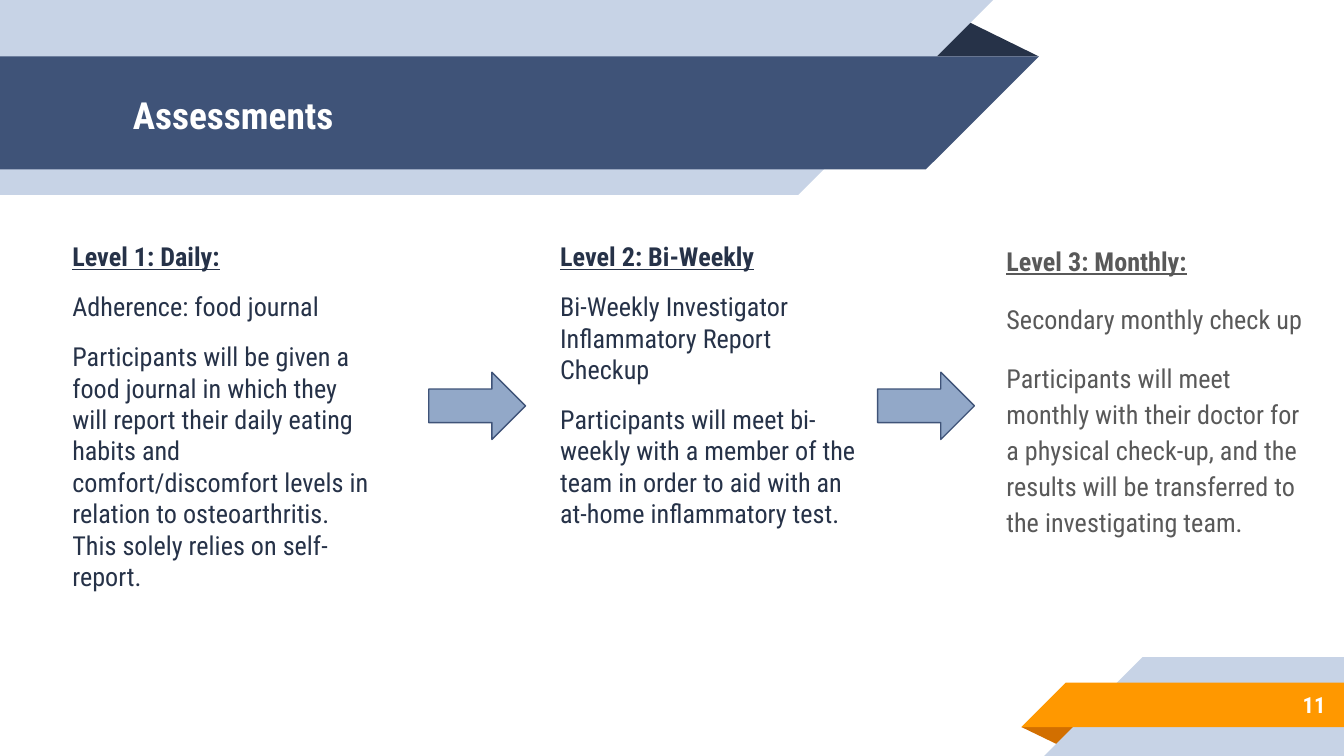
from dataclasses import dataclass

from pptx import Presentation
from pptx.dml.color import RGBColor
from pptx.enum.shapes import MSO_SHAPE
from pptx.enum.text import MSO_ANCHOR, PP_ALIGN
from pptx.util import Inches, Pt

FONT = "Roboto Condensed"
COLORS = {
    "navy": "263248",
    "blue": "3F5378",
    "mid": "92A8C8",
    "pale": "C7D3E6",
    "orange": "FF9800",
    "rust": "D26F00",
    "gray": "595959",
    "white": "FFFFFF",
}
WIDTH = 10
HEIGHT = WIDTH * 9 / 16  # widescreen
TOP = 1.69


@dataclass
class Band:
    color: str
    points: list[tuple[float, float]]


@dataclass
class Level:
    left: float
    color: str
    paragraphs: list[str]
    first_before: float = 6
    before: float = 10
    last_after: float = 10
    spacing: float = 1.0


# Folds come before the bands that cover them
BANDS = [
    Band("navy", [(6.88, 0.42), (7.16, 0.14), (7.73, 0.42)]),
    Band("pale", [(0, 0), (7.39, 0), (5.94, 1.45), (0, 1.45)]),
    Band("blue", [(0, 0.42), (7.73, 0.42), (6.89, 1.26), (0, 1.26)]),
    Band("rust", [(7.6, 5.41), (8.03, 5.41), (7.89, 5.55)]),
    Band("pale", [(8.5, 4.89), (WIDTH, 4.89), (WIDTH, HEIGHT), (7.77, HEIGHT)]),
    Band("orange", [(7.93, 5.08), (WIDTH, 5.08), (WIDTH, 5.41), (7.6, 5.41)]),
]

LEVELS = [
    Level(0.44, "navy", [
        "Level 1: Daily:",
        "Adherence: food journal",
        "Participants will be given a food journal in which they will report "
        "their daily eating habits and comfort/discomfort levels in relation "
        "to osteoarthritis. This solely relies on self-report.",
    ]),
    Level(4.07, "navy", [
        "Level 2: Bi-Weekly",
        "Bi-Weekly Investigator Inflammatory Report Checkup",
        "Participants will meet bi-weekly with a member of the team in order "
        "to aid with an at-home inflammatory test.",
    ]),
    Level(7.39, "gray", [
        "Level 3: Monthly:",
        "Secondary monthly check up",
        "Participants will meet monthly with their doctor for a physical "
        "check-up, and the results will be transferred to the investigating "
        "team.",
    ], first_before=0, before=12, last_after=0, spacing=1.15),
]
ARROW_LEFTS = [3.19, 6.53]


def rgb(name: str) -> RGBColor:
    return RGBColor.from_string(COLORS[name])


def add_band(s, band: Band) -> None:
    points = [(Inches(x), Inches(y)) for x, y in band.points]
    builder = s.shapes.build_freeform(*points[0])
    builder.add_line_segments(points[1:], close=True)
    sp = builder.convert_to_shape()
    sp.shadow.inherit = False
    sp.fill.solid()
    sp.fill.fore_color.rgb = rgb(band.color)
    sp.line.fill.background()


def add_box(s, left: float, top: float, width: float, height: float,
            anchor=MSO_ANCHOR.TOP):
    sp = s.shapes.add_textbox(Inches(left), Inches(top), Inches(width), Inches(height))
    tf = sp.text_frame
    tf.word_wrap = True
    tf.vertical_anchor = anchor
    tf.margin_left = tf.margin_right = Inches(0.1)
    tf.margin_top = tf.margin_bottom = Inches(0.1)
    return tf


def add_run(p, text: str, size: float, color: str, bold: bool = False,
            underline: bool = False) -> None:
    r = p.add_run()
    r.text = text
    r.font.name = FONT
    r.font.size = Pt(size)
    r.font.color.rgb = rgb(color)
    r.font.bold = bold
    r.font.underline = underline


def add_level(s, level: Level) -> None:
    tf = add_box(s, level.left, TOP, 2.46, 2.96)
    for i, text in enumerate(level.paragraphs):
        heading = i == 0
        p = tf.paragraphs[0] if heading else tf.add_paragraph()
        p.line_spacing = level.spacing
        p.space_before = Pt(level.first_before if heading else level.before)
        add_run(p, text, 14, level.color, bold=heading, underline=heading)
    p.space_after = Pt(level.last_after)


def add_arrow(s, left: float) -> None:
    sp = s.shapes.add_shape(MSO_SHAPE.RIGHT_ARROW, Inches(left), Inches(2.77),
                            Inches(0.72), Inches(0.5))
    sp.shadow.inherit = False
    sp.fill.solid()
    sp.fill.fore_color.rgb = rgb("mid")
    sp.line.color.rgb = rgb("blue")
    sp.line.width = Pt(0.75)


def main() -> None:
    prs = Presentation()
    prs.slide_width, prs.slide_height = Inches(WIDTH), Inches(HEIGHT)
    s = prs.slides.add_slide(prs.slide_layouts[6])

    # Banner and corner ribbon
    for band in BANDS:
        add_band(s, band)

    # Slide number
    p = add_box(s, 8.33, 5.07, 1.63, 0.35, MSO_ANCHOR.MIDDLE).paragraphs[0]
    p.alignment = PP_ALIGN.RIGHT
    add_run(p, "11", 12, "white", bold=True)

    # Title
    p = add_box(s, 0.89, 0.43, 5.75, 0.84, MSO_ANCHOR.MIDDLE).paragraphs[0]
    add_run(p, "Assessments", 20, "white", bold=True)

    # Assessment levels and the arrows between them
    for level in LEVELS:
        add_level(s, level)
    for left in ARROW_LEFTS:
        add_arrow(s, left)

    prs.save("out.pptx")


if __name__ == "__main__":
    main()
